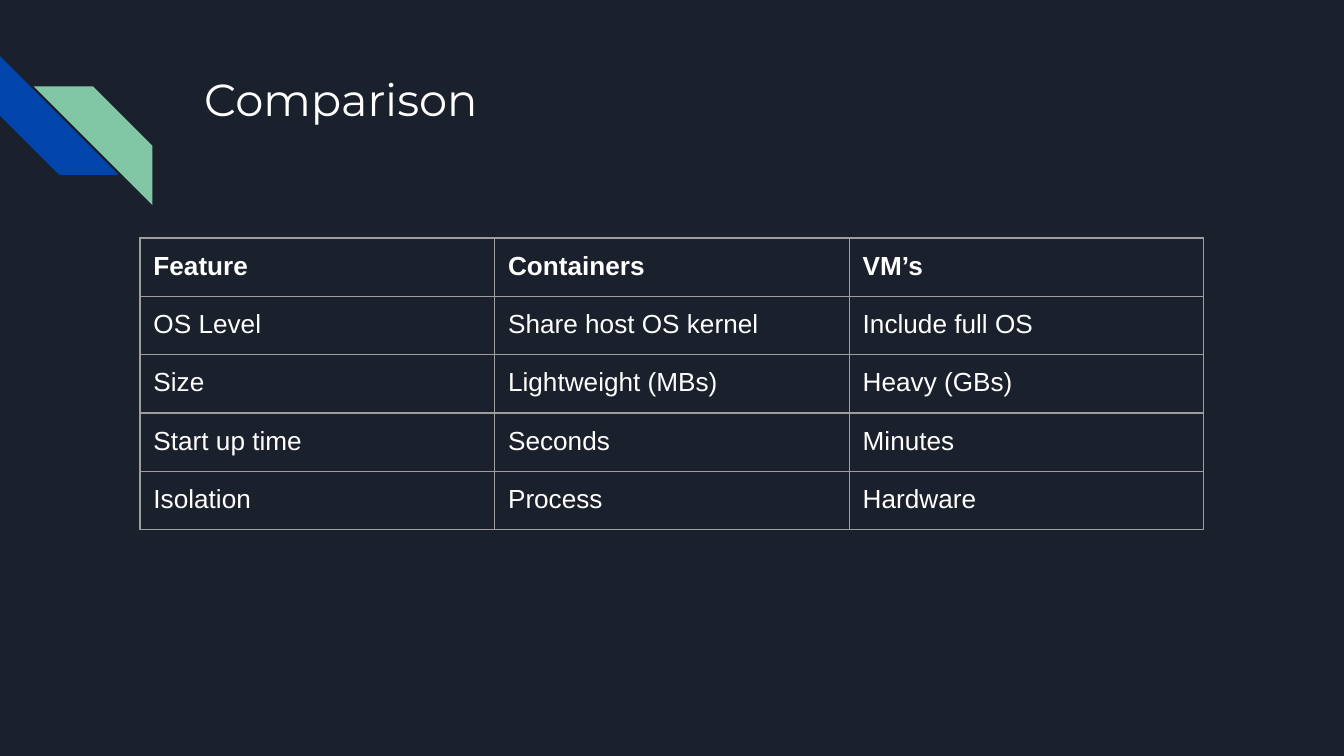
from lxml.etree import SubElement
from pptx import Presentation
from pptx.dml.color import RGBColor
from pptx.enum.shapes import MSO_SHAPE
from pptx.enum.text import MSO_ANCHOR
from pptx.oxml.ns import qn
from pptx.util import Pt

WIDTH, HEIGHT = 720, 405


def rgb(value):
    return RGBColor.from_string(value)


class Deck:
    background, text_color, grid_color = "1B212C", "FFFFFF", "9E9E9E"
    title_font, body_font = "Montserrat", "Arial"
    inset = 7.2

    def __init__(self, presentation):
        self.slide = presentation.slides.add_slide(presentation.slide_layouts[6])
        fill = self.slide.background.fill
        fill.solid()
        fill.fore_color.rgb = rgb(self.background)

    def stripe(self, left, top, size, color, rotation=0, flipped=False):
        band = self.slide.shapes.add_shape(
            MSO_SHAPE.DIAGONAL_STRIPE, Pt(left), Pt(top), Pt(size), Pt(size))
        band.adjustments[0] = 0.5
        band.rotation = rotation
        if flipped:
            band._element.spPr.get_or_add_xfrm().set("flipH", "1")
        band.shadow.inherit = False
        band.fill.solid()
        band.fill.fore_color.rgb = rgb(color)
        band.line.fill.background()

    def add_text(self, frame, text, size, font, bold=False):
        run = frame.paragraphs[0].add_run()
        run.text = text
        run.font.size = Pt(size)
        run.font.name = font
        run.font.bold = bold
        run.font.color.rgb = rgb(self.text_color)

    def pad(self, holder):
        holder.margin_left = holder.margin_right = Pt(self.inset)
        holder.margin_top = holder.margin_bottom = Pt(self.inset)
        holder.vertical_anchor = MSO_ANCHOR.TOP

    def title(self, text, left, top, width, height):
        box = self.slide.shapes.add_textbox(Pt(left), Pt(top), Pt(width), Pt(height))
        frame = box.text_frame
        frame.word_wrap = True
        self.pad(frame)
        self.add_text(frame, text, 24, self.title_font)

    def border(self, cell):
        properties = cell._tc.get_or_add_tcPr()
        for side in ("lnL", "lnR", "lnT", "lnB"):
            line = SubElement(properties, qn(f"a:{side}"), w=str(Pt(0.75)))
            solid = SubElement(line, qn("a:solidFill"))
            SubElement(solid, qn("a:srgbClr"), val=self.grid_color)

    def table(self, rows, left, top, column_width, row_height):
        count = len(rows[0])
        grid = self.slide.shapes.add_table(
            len(rows), count, Pt(left), Pt(top),
            Pt(column_width * count), Pt(row_height * len(rows))).table
        grid.first_row = grid.horz_banding = False
        for column in grid.columns:
            column.width = Pt(column_width)
        for r, values in enumerate(rows):
            grid.rows[r].height = Pt(row_height)
            for c, value in enumerate(values):
                cell = grid.cell(r, c)
                self.pad(cell)
                self.border(cell)
                cell.fill.background()
                self.add_text(cell.text_frame, value, 14, self.body_font, bold=r == 0)


def main():
    presentation = Presentation()
    presentation.slide_width, presentation.slide_height = Pt(WIDTH), Pt(HEIGHT)
    deck = Deck(presentation)

    # Corner decoration
    deck.stripe(0, 30.1, 63.6, "0145AC", rotation=270)
    deck.stripe(18.1, 46.3, 63.6, "82C7A5", flipped=True)

    # Heading
    deck.title("Comparison", 102.3, 31, 554.4, 72)

    # Feature comparison
    features = [
        ("Feature", "Containers", "VM’s"),
        ("OS Level", "Share host OS kernel", "Include full OS"),
        ("Size", "Lightweight (MBs)", "Heavy (GBs)"),
        ("Start up time", "Seconds", "Minutes"),
        ("Isolation", "Process", "Hardware"),
    ]
    deck.table(features, 75, 127.5, 190, 30)

    presentation.save("out.pptx")


if __name__ == "__main__":
    main()
